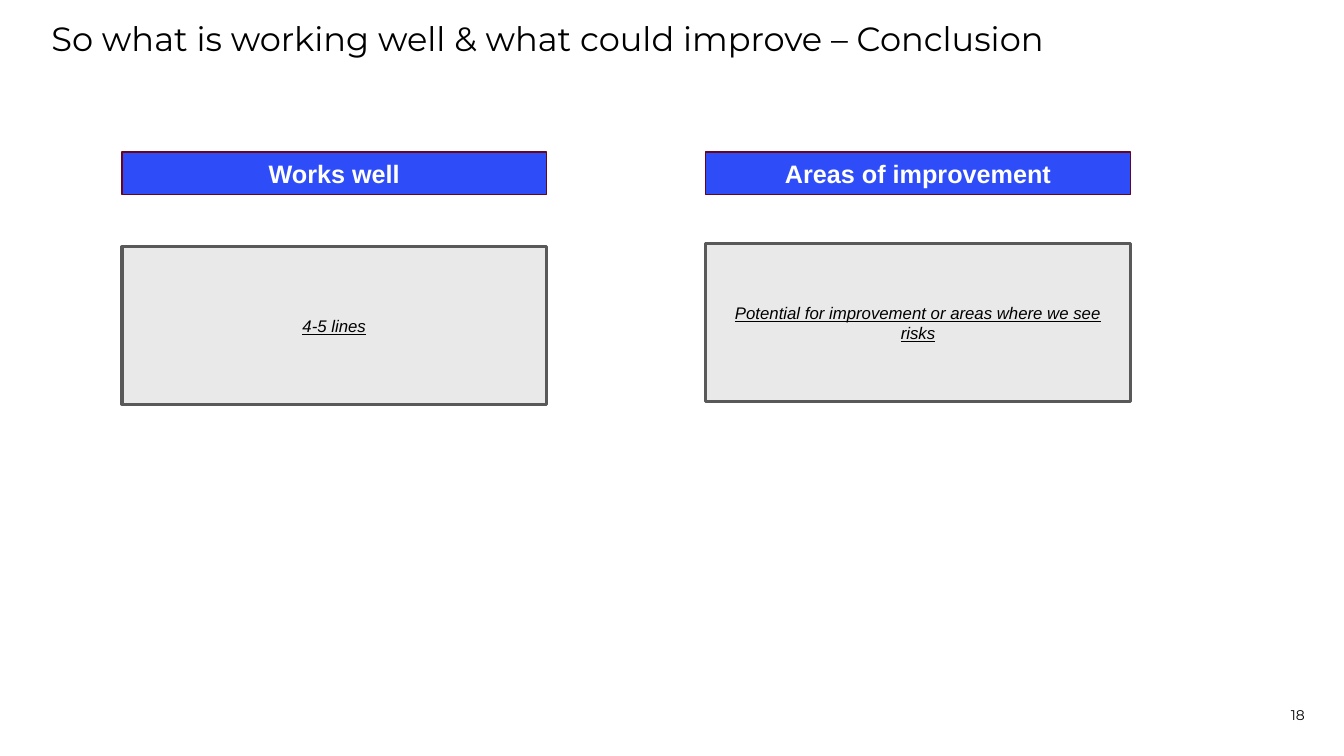
from pptx import Presentation
from pptx.dml.color import RGBColor
from pptx.enum.shapes import MSO_SHAPE
from pptx.enum.text import MSO_ANCHOR, MSO_AUTO_SIZE, PP_ALIGN
from pptx.util import Inches, Pt


def color(code):
    return RGBColor.from_string(code)


class Deck:
    head_font = "Montserrat"
    body_font = "Arial"
    black = "000000"
    white = "FFFFFF"
    blue = "2E4DF9"
    wine = "68051B"
    pale = "E9E9E9"
    gray = "595959"

    def __init__(self):
        self.show = Presentation()
        self.show.slide_width = Inches(13.33)
        self.show.slide_height = Inches(7.5)
        self.slide = self.show.slides.add_slide(self.show.slide_layouts[5])

    def label(self, frame, text, size, face, ink, align, anchor,
              bold=False, italic=False, underline=False):
        frame.word_wrap = True
        frame.vertical_anchor = anchor
        line = frame.paragraphs[0]
        line.alignment = align
        run = line.add_run()
        run.text = text
        font = run.font
        font.size = Pt(size)
        font.name = face
        font.color.rgb = color(ink)
        font.bold = bold
        font.italic = italic
        font.underline = underline

    def title(self, text):
        shape = self.slide.shapes.title
        shape.left, shape.top = Inches(0.41), Inches(0.13)
        shape.width, shape.height = Inches(12.8), Inches(0.5)
        frame = shape.text_frame
        self.label(frame, text, 24, self.head_font, self.black,
                   PP_ALIGN.LEFT, MSO_ANCHOR.TOP)
        frame.auto_size = MSO_AUTO_SIZE.SHAPE_TO_FIT_TEXT

    def number(self, text):
        shape = self.slide.shapes.add_textbox(
            Inches(11.96), Inches(6.78), Inches(0.98), Inches(0.4))
        frame = shape.text_frame
        frame.margin_left = frame.margin_right = 0
        frame.margin_top = frame.margin_bottom = 0
        self.label(frame, text, 10, self.head_font, self.black,
                   PP_ALIGN.RIGHT, MSO_ANCHOR.BOTTOM)

    def box(self, left, top, high, fill, edge, weight, text, size, ink, **style):
        shape = self.slide.shapes.add_shape(
            MSO_SHAPE.RECTANGLE, Inches(left), Inches(top),
            Inches(4.21), Inches(high))
        shape.shadow.inherit = False
        shape.fill.solid()
        shape.fill.fore_color.rgb = color(fill)
        shape.line.color.rgb = color(edge)
        shape.line.width = Pt(weight)
        self.label(shape.text_frame, text, size, self.body_font, ink,
                   PP_ALIGN.CENTER, MSO_ANCHOR.MIDDLE, **style)

    def header(self, left, text):
        self.box(left, 1.51, 0.42, self.blue, self.wine, 1,
                 text, 18, self.white, bold=True)

    def panel(self, left, top, text):
        self.box(left, top, 1.56, self.pale, self.gray, 2.25,
                 text, 12, self.black, italic=True, underline=True)


def main():
    deck = Deck()
    deck.number("18")
    deck.title("So what is working well & what could improve – Conclusion")
    columns = [
        (1.21, "Works well", 2.45, "4-5 lines"),
        (7, "Areas of improvement", 2.42,
         "Potential for improvement or areas where we see risks"),
    ]
    for left, name, top, note in columns:
        deck.panel(left, top, note)
        deck.header(left, name)
    deck.show.save("out.pptx")


if __name__ == "__main__":
    main()
